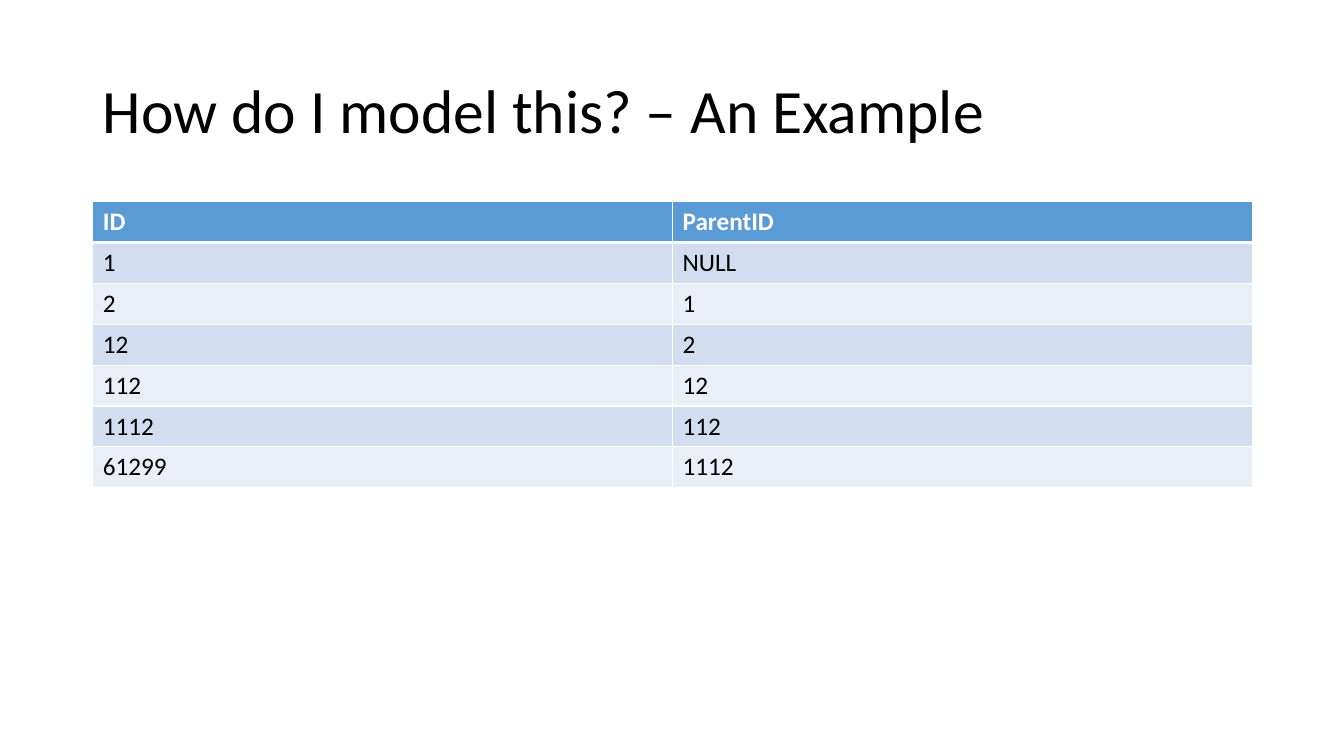
"""Build a slide with a title and a table of IDs and their parent IDs."""
from lxml import etree
from pptx import Presentation
from pptx import util as u
from pptx.dml.color import RGBColor
from pptx.enum import text
from pptx.oxml import ns

COLORS = {"ink": "000000", "white": "FFFFFF", "header": "5B9BD5",
          "band": "D2DEEF", "light": "EAEFF7"}
ROWS = [("ID", "ParentID"), ("1", "NULL"), ("2", "1"), ("12", "2"),
        ("112", "12"), ("1112", "112"), ("61299", "1112")]
LEFT, WIDTH, ROW_HEIGHT = 0.92, 11.5, 0.405


def add_span(para, words, size, color, bold=False):
    span = para.add_run()
    span.text = words
    span.font.name = "Calibri"
    span.font.size = u.Pt(size)
    span.font.bold = bold
    span.font.color.rgb = RGBColor.from_string(COLORS[color])


def add_border(cell, side, points):
    line = etree.SubElement(cell._tc.get_or_add_tcPr(), ns.qn("a:" + side),
                            w=str(u.Pt(points)))
    fill = etree.SubElement(line, ns.qn("a:solidFill"))
    etree.SubElement(fill, ns.qn("a:srgbClr"), val=COLORS["white"])


deck = Presentation()
deck.slide_width, deck.slide_height = u.Inches(13.33), u.Inches(7.5)
page = deck.slides.add_slide(deck.slide_layouts[5])

title = page.shapes.title
title.left, title.top = u.Inches(LEFT), u.Inches(0.4)
title.width, title.height = u.Inches(WIDTH), u.Inches(1.45)
title.text_frame.vertical_anchor = text.MSO_ANCHOR.MIDDLE
heading = title.text_frame.paragraphs[0]
heading.alignment = text.PP_ALIGN.LEFT
heading.line_spacing = 0.9
add_span(heading, "How do I model this? – An Example", 44, "ink")

table = page.shapes.add_table(
    len(ROWS), 2, u.Inches(LEFT), u.Inches(2),
    u.Inches(WIDTH), u.Inches(ROW_HEIGHT * len(ROWS))).table
for r, values in enumerate(ROWS):
    is_header = r == 0
    fill_name = "header" if is_header else "band" if r % 2 else "light"
    for c, value in enumerate(values):
        cell = table.cell(r, c)
        add_border(cell, "lnL", 1)
        add_border(cell, "lnR", 1)
        add_border(cell, "lnT", 3 if r == 1 else 1)
        add_border(cell, "lnB", 3 if is_header else 1)
        cell.fill.solid()
        cell.fill.fore_color.rgb = RGBColor.from_string(COLORS[fill_name])
        add_span(cell.text_frame.paragraphs[0], value, 18,
                 "white" if is_header else "ink", is_header)

deck.save("out.pptx")
